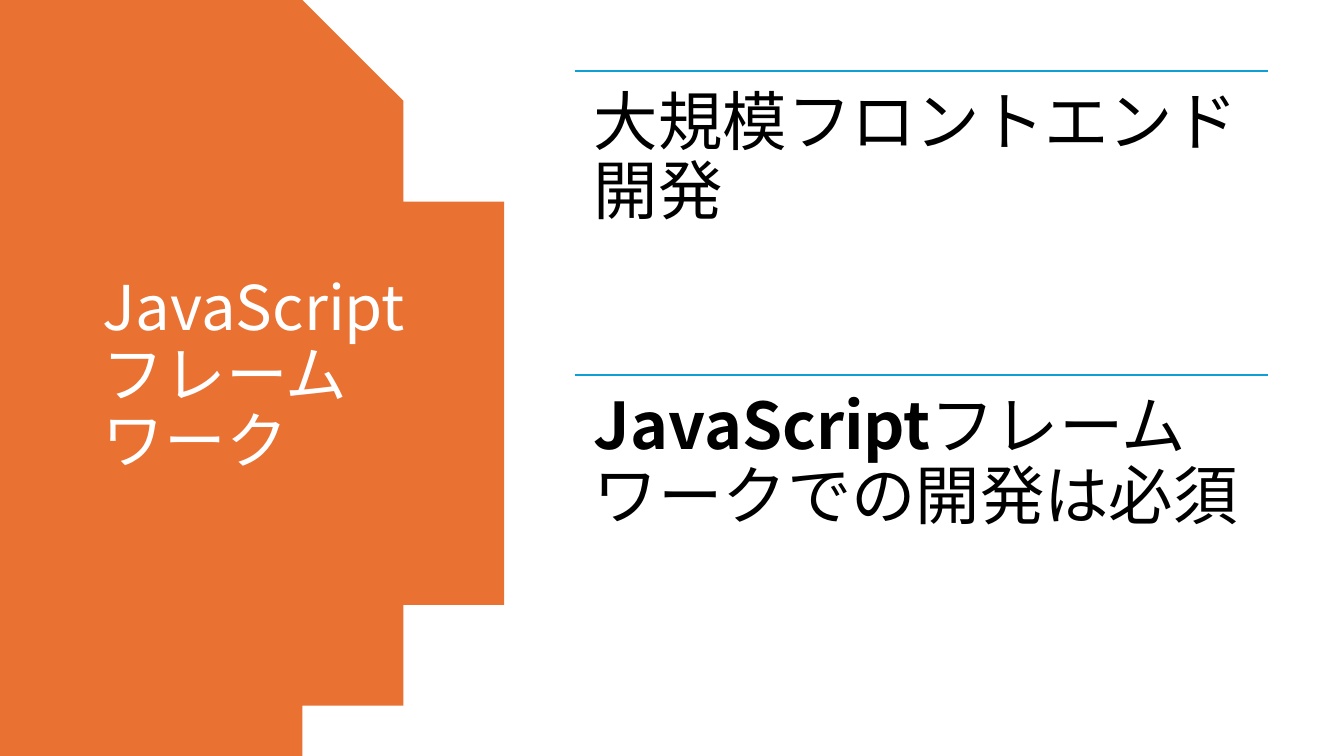
"""Build a title-and-two-points slide about JavaScript frameworks."""
from dataclasses import dataclass

from lxml import etree
from pptx import Presentation
from pptx import util as u
from pptx.dml.color import RGBColor
from pptx.enum import lang, shapes, text
from pptx.oxml.ns import qn


@dataclass(frozen=True)
class Theme:
    """Colours, type sizes and the font of the slide."""
    panel: str = "E97132"
    rule: str = "0F9ED5"
    title_ink: str = "FFFFFF"
    body_ink: str = "000000"
    font: str = "Noto Sans CJK JP"
    title_size: int = 44
    body_size: int = 46
    rule_width: float = 1.5


THEME = Theme()
WIDTH, HEIGHT = 13.33, 7.5
POINTS_LEFT, POINTS_TOP = 5.7, 0.7
POINT_WIDTH, POINT_HEIGHT = 6.88, 3.02
POINTS = [
    [("大規模フロントエンド開発", False)],
    [("JavaScript", True), ("フレームワークでの開発は必須", False)],
]


def apply_format(target, values):
    """Set every attribute of target named in values."""
    for name, value in values.items():
        setattr(target, name, value)


def write(frame, parts, size, ink, anchor, inset):
    """Fill a text frame with one paragraph of (wording, bold) parts."""
    apply_format(frame, {
        "word_wrap": True,
        "auto_size": text.MSO_AUTO_SIZE.NONE,
        "vertical_anchor": anchor,
        **{f"margin_{side}": u.Inches(gap) for side, gap in inset.items()},
    })
    line = frame.paragraphs[0]
    apply_format(line, {"alignment": text.PP_ALIGN.LEFT, "line_spacing": 0.9,
                        "space_before": u.Pt(0)})
    for wording, bold in parts:
        run = line.add_run()
        run.text = wording
        apply_format(run.font, {"name": THEME.font, "size": u.Pt(size), "bold": bold,
                                "language_id": lang.MSO_LANGUAGE_ID.JAPANESE})
        run.font.color.rgb = RGBColor.from_string(ink)
        latin = run.font._element.find(qn("a:latin"))
        east_asian = etree.Element(qn("a:ea"), typeface=THEME.font)
        latin.addnext(east_asian)


def bezier(start, bend_a, bend_b, end, steps=60):
    """Return points along a cubic curve."""
    return [
        tuple((1 - t) ** 3 * a + 3 * (1 - t) ** 2 * t * b
              + 3 * (1 - t) * t ** 2 * c + t ** 3 * d
              for a, b, c, d in zip(start, bend_a, bend_b, end))
        for t in (step / steps for step in range(steps + 1))
    ]


def add_panel(slide):
    """Draw the coloured panel with its rounded right edge."""
    upper = bezier((2.83, 0), (4.09, 0.77), (4.93, 2.16), (4.93, HEIGHT / 2))
    lower = [(x, HEIGHT - y) for x, y in reversed(upper[:-1])]
    outline = slide.shapes.build_freeform(0, 0, scale=u.Inches(1))
    outline.add_line_segments([*upper, *lower, (0, HEIGHT)], close=True)
    panel = outline.convert_to_shape()
    panel.shadow.inherit = False
    panel.fill.solid()
    panel.fill.fore_color.rgb = RGBColor.from_string(THEME.panel)
    panel.line.fill.background()


def add_title(slide, wording):
    """Place the title on top of the panel."""
    title = slide.shapes.title
    apply_format(title, {"left": u.Inches(0.92), "top": u.Inches(0.7),
                         "width": u.Inches(3.23), "height": u.Inches(6.09)})
    write(title.text_frame, [(wording, False)], THEME.title_size, THEME.title_ink,
          text.MSO_ANCHOR.MIDDLE,
          {"left": 0.1, "right": 0.1, "top": 0.05, "bottom": 0.05})
    title.element.getparent().append(title.element)


def add_point(group, row, parts):
    """Add one ruled point in the given row."""
    left, width = u.Inches(POINTS_LEFT), u.Inches(POINT_WIDTH)
    top = u.Inches(POINTS_TOP + row * POINT_HEIGHT)
    rule = group.shapes.add_connector(shapes.MSO_CONNECTOR.STRAIGHT,
                                      left, top, left + width, top)
    rule.line.color.rgb = RGBColor.from_string(THEME.rule)
    rule.line.width = u.Pt(THEME.rule_width)
    etree.SubElement(rule.element.spPr, qn("a:effectLst"))
    point = group.shapes.add_textbox(left, top, width, u.Inches(POINT_HEIGHT))
    write(point.text_frame, parts, THEME.body_size, THEME.body_ink,
          text.MSO_ANCHOR.TOP,
          dict.fromkeys(("left", "right", "top", "bottom"), 0.19))


def main():
    """Build and save the slide."""
    deck = Presentation()
    apply_format(deck, {"slide_width": u.Inches(WIDTH), "slide_height": u.Inches(HEIGHT)})
    slide = deck.slides.add_slide(deck.slide_layouts.get_by_name("Title Only"))
    add_panel(slide)
    add_title(slide, "JavaScriptフレームワーク")
    points = slide.shapes.add_group_shape()
    for row, parts in enumerate(POINTS):
        add_point(points, row, parts)
    deck.save("out.pptx")


if __name__ == "__main__":
    main()
